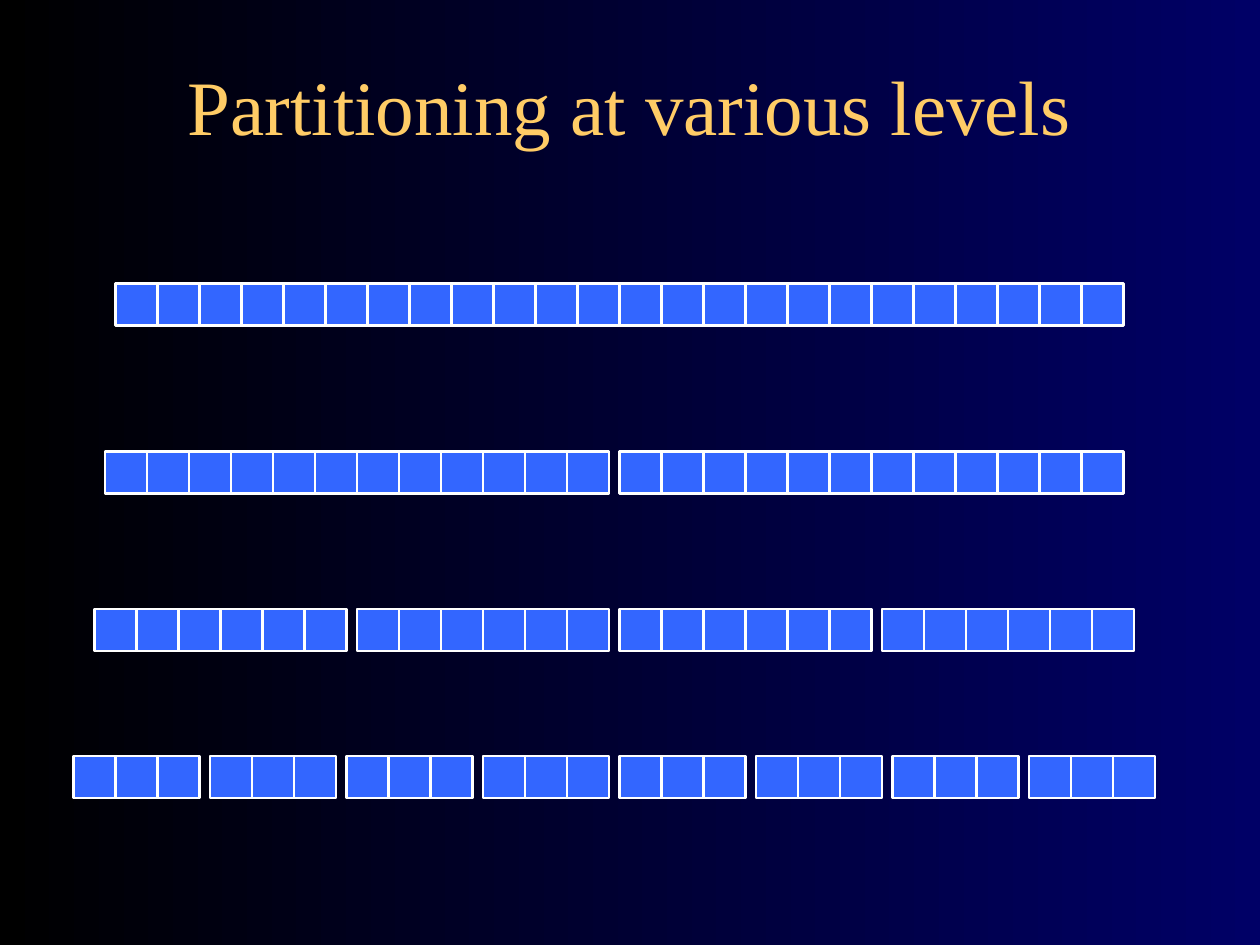
from pptx import Presentation
from pptx.dml.color import RGBColor
from pptx.enum.shapes import MSO_SHAPE
from pptx.enum.text import MSO_ANCHOR, PP_ALIGN
from pptx.util import Cm, Pt

# Content: each level splits the same cells into more parts
TITLE = "Partitioning at various levels"
CELL_COUNT = 24
LEVELS = [  # parts, left and top in grid units
    (1, 11, 27),
    (2, 10, 43),
    (4, 9, 58),
    (8, 7, 72),
]
COLORS = {
    "background_start": "000000",
    "background_end": "000066",
    "title": "FFCC66",
    "cell": "3366FF",
    "border": "FFFFFF",
}
FONT = "Times New Roman"

# Grid: twelve units to the inch
UNIT = Cm(2.54) // 12
CELL_UNITS = 4
GAP_UNITS = 1


def color(name):
    return RGBColor.from_string(COLORS[name])


def add_cell(group, left, top):
    size = CELL_UNITS * UNIT
    cell = group.shapes.add_shape(
        MSO_SHAPE.RECTANGLE, left * UNIT, top * UNIT, size, size)
    cell.shadow.inherit = False
    cell.fill.solid()
    cell.fill.fore_color.rgb = color("cell")
    cell.line.color.rgb = color("border")
    cell.line.width = Pt(1.25)


def add_level(slide, parts, left, top):
    group = slide.shapes.add_group_shape()
    cells_per_part = CELL_COUNT // parts
    for index in range(CELL_COUNT):
        gaps = index // cells_per_part
        add_cell(group, left + index * CELL_UNITS + gaps * GAP_UNITS, top)


# Deck and background
deck = Presentation()
deck.slide_width, deck.slide_height = Cm(25.4), Cm(19.05)
slide = deck.slides.add_slide(deck.slide_layouts[5])
background = slide.background.fill
background.gradient()
background.gradient_angle = 0
for stop, name in zip(background.gradient_stops,
                      ("background_start", "background_end")):
    stop.color.rgb = color(name)

# Title
title = slide.shapes.title
title.left, title.top = Cm(1.9), Cm(1.06)
title.width, title.height = Cm(21.6), Cm(2.12)
title.text_frame.text = TITLE
title.text_frame.vertical_anchor = MSO_ANCHOR.MIDDLE
para = title.text_frame.paragraphs[0]
para.alignment = PP_ALIGN.CENTER
font = para.runs[0].font
font.name = FONT
font.size = Pt(44)
font.color.rgb = color("title")

# Levels
for parts, left, top in LEVELS:
    add_level(slide, parts, left, top)

deck.save("out.pptx")
